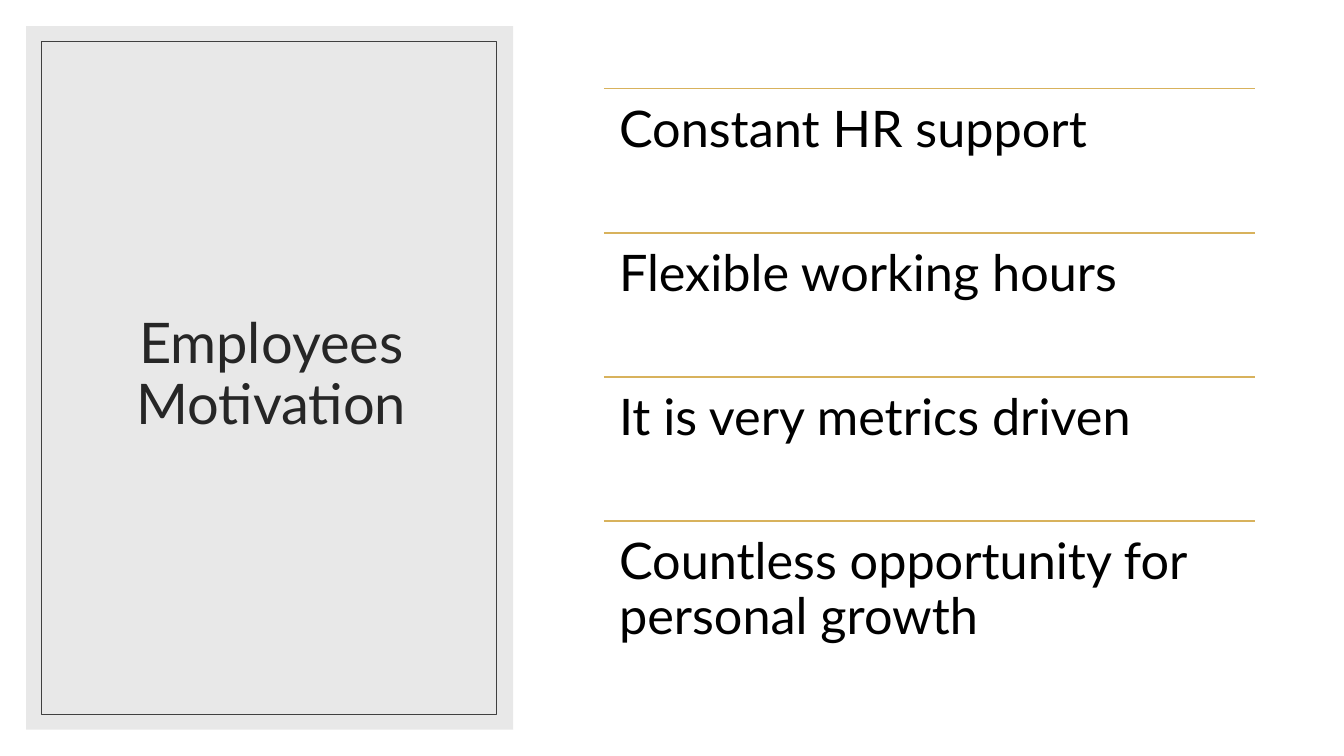
"""Build the Employees Motivation slide: a framed title panel beside a ruled list."""
from lxml.etree import SubElement
from pptx import Presentation
from pptx.dml.color import RGBColor as RGB
from pptx.enum.shapes import MSO_CONNECTOR as CONN, MSO_SHAPE as SHAPE
from pptx.enum.text import MSO_ANCHOR as ANCHOR, PP_ALIGN as ALIGN
from pptx.oxml.ns import qn
from pptx.util import Inches, Pt

THEME = {
    "font": "Lato",
    "paper": RGB.from_string("FFFFFF"),
    "panel": RGB.from_string("D9D9D9"),
    "frame": RGB.from_string("404040"),
    "rule": RGB.from_string("D8B25C"),
    "title": RGB.from_string("262626"),
    "body": RGB.from_string("000000"),
    "title_size": Pt(40),
    "body_size": Pt(36),
}
BENEFITS = [
    "Constant HR support",
    "Flexible working hours",
    "It is very metrics driven",
    "Countless opportunity for personal growth",
]
LIST_LEFT, LIST_TOP, LIST_WIDTH, ROW = 5.99, 0.88, 6.46, 1.43

prs = Presentation()
prs.slide_width, prs.slide_height = Inches(13.33), Inches(7.5)
s = prs.slides.add_slide(prs.slide_layouts[6])
s.background.fill.solid()
s.background.fill.fore_color.rgb = THEME["paper"]


def add_rect(*box):
    sp = s.shapes.add_shape(SHAPE.RECTANGLE, *map(Inches, box))
    sp.shadow.inherit = False
    return sp


def add_text(text, box, role, inset_x, inset_y):
    tf = s.shapes.add_textbox(*map(Inches, box)).text_frame
    tf.word_wrap = True
    tf.margin_left = tf.margin_right = Inches(inset_x)
    tf.margin_top = tf.margin_bottom = Inches(inset_y)
    p = tf.paragraphs[0]
    p.text = text
    p.line_spacing = 0.9
    p.font.name = THEME["font"]
    p.font.size = THEME[f"{role}_size"]
    p.font.color.rgb = THEME[role]
    return tf


panel = add_rect(0.26, 0.26, 4.83, 6.98)
panel.fill.solid()
panel.fill.fore_color.rgb = THEME["panel"]
panel.line.fill.background()
tint = panel.element.spPr.find(f"{qn('a:solidFill')}/{qn('a:srgbClr')}")
SubElement(tint, qn("a:alpha"), val="60000")

tf = add_text("Employees Motivation", (0.63, 0.61, 4.12, 6.24), "title", 0.1, 0.05)
tf.vertical_anchor = ANCHOR.MIDDLE
tf.paragraphs[0].alignment = ALIGN.CENTER

frame = add_rect(0.41, 0.41, 4.51, 6.68)
frame.fill.background()
frame.line.color.rgb = THEME["frame"]
frame.line.width = Pt(0.5)

for i, benefit in enumerate(BENEFITS):
    top = LIST_TOP + i * ROW
    ends = (LIST_LEFT, top, LIST_LEFT + LIST_WIDTH, top)
    rule = s.shapes.add_connector(CONN.STRAIGHT, *map(Inches, ends))
    rule.line.color.rgb = THEME["rule"]
    rule.line.width = Pt(1)
    SubElement(rule.element.spPr, qn("a:effectLst"))
    add_text(benefit, (LIST_LEFT, top, LIST_WIDTH, ROW), "body", 0.15, 0.15)

prs.save("out.pptx")
